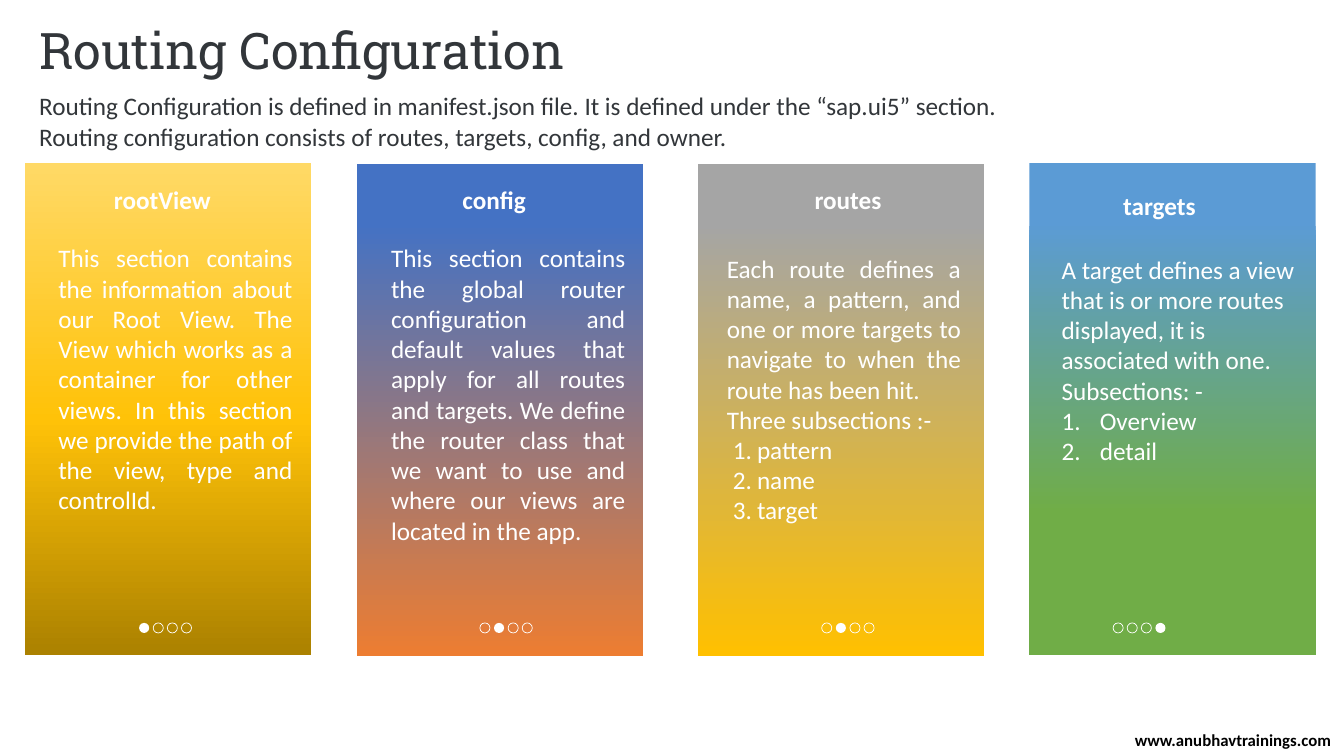
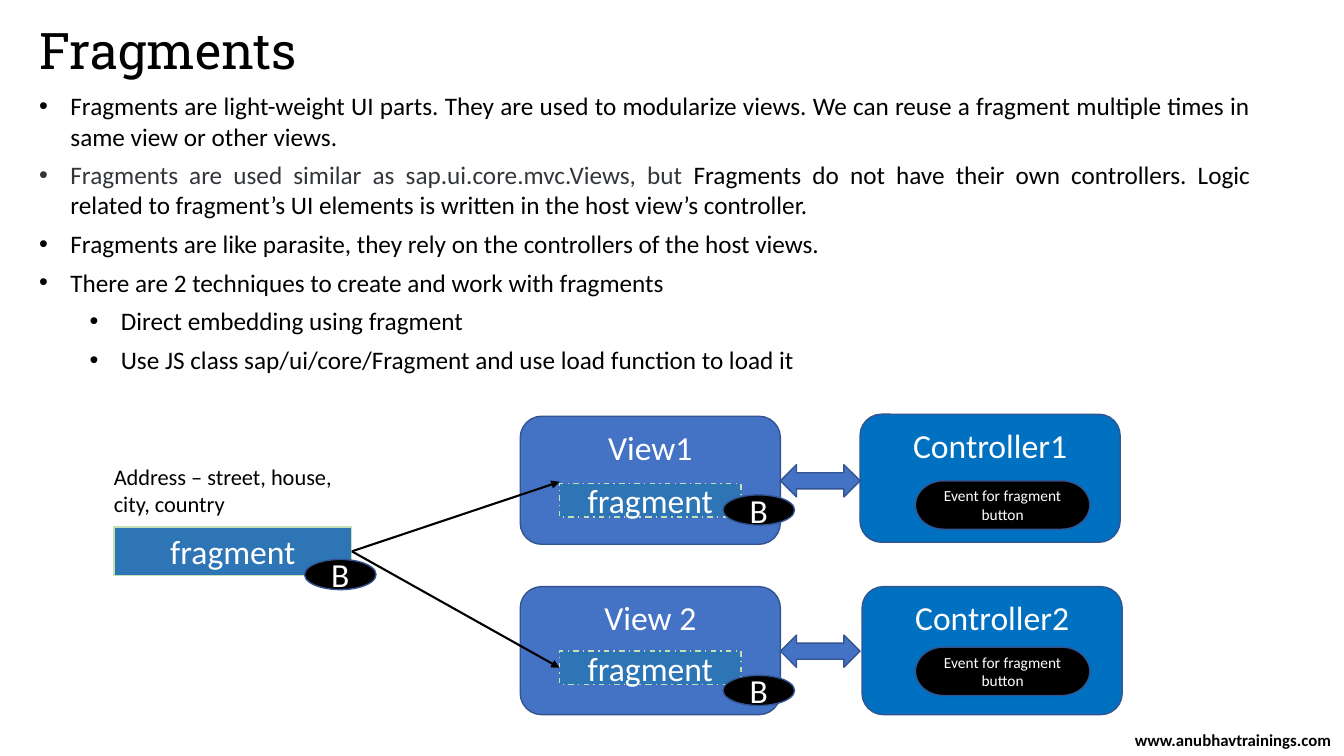
"""Builds two slides on routing configuration and fragments."""
from lxml.etree import SubElement
from pptx import Presentation
from pptx.dml.color import RGBColor
from pptx.enum.dml import MSO_LINE_DASH_STYLE as Dash
from pptx.enum.shapes import MSO_CONNECTOR as Link, MSO_SHAPE as Kind
from pptx.enum.text import MSO_ANCHOR as Anchor, MSO_AUTO_SIZE as Fit, PP_ALIGN as Align
from pptx.oxml.ns import qn
from pptx.util import Inches, Pt

COLORS = {
    "ink": "32363A", "black": "000000", "white": "FFFFFF",
    "blue": "4472C4", "orange": "ED7D31", "gray": "A5A5A5", "amber": "FFC000",
    "sky": "5B9BD5", "green": "70AD47",
    "sand": "FFD966", "gold": "FFC208", "bronze": "AB8100",
    "fragment": "2E75B6", "mint": "C5E0B4", "controller": "0070C0", "edge": "325491",
}


def rgb(name):
    return RGBColor.from_string(COLORS[name])


def add_bullet(paragraph, mark, margin, hang):
    props = paragraph._p.get_or_add_pPr()
    props.set("marL", str(Inches(margin)))
    props.set("indent", str(-Inches(hang)))
    if mark == "1.":
        SubElement(props, qn("a:buFont"), typeface="+mj-lt")
        SubElement(props, qn("a:buAutoNum"), type="arabicPeriod")
    else:
        SubElement(props, qn("a:buFont"), typeface="Arial")
        SubElement(props, qn("a:buChar"), char=mark)


def write(frame, lines, size=18, color="black", font="Calibri", bold=False,
          align=Align.LEFT, anchor=Anchor.TOP, gap=0, spacing=None, inset=0.05):
    frame.word_wrap = True
    frame.auto_size = Fit.NONE
    frame.vertical_anchor = anchor
    frame.margin_top = frame.margin_bottom = Inches(inset)
    for index, line in enumerate([lines] if isinstance(lines, str) else lines):
        item = {"text": line} if isinstance(line, str) else line
        paragraph = frame.add_paragraph() if index else frame.paragraphs[0]
        paragraph.alignment = item.get("align", align)
        paragraph.level = item.get("level", 0)
        if spacing:
            paragraph.line_spacing = spacing
        if index and gap:
            paragraph.space_before = Pt(gap)
        if "bullet" in item:
            add_bullet(paragraph, *item["bullet"])
        parts = item["text"]
        for text, shade in [(parts, color)] if isinstance(parts, str) else parts:
            run = paragraph.add_run()
            run.text = text
            run.font.name = font
            run.font.size = Pt(size)
            run.font.bold = bold
            run.font.color.rgb = rgb(shade)


class Deck:
    """Holds the shared style and the current slide."""

    def __init__(self):
        self.prs = Presentation()
        self.prs.slide_width = Inches(13.33)
        self.prs.slide_height = Inches(7.5)
        self.slide = None

    def new_slide(self, title, color):
        self.slide = self.prs.slides.add_slide(self.prs.slide_layouts[5])
        heading = self.slide.shapes.title
        heading.left, heading.top = Inches(0.29), Inches(0.21)
        heading.width, heading.height = Inches(12.21), Inches(0.65)
        write(heading.text_frame, title, size=36, color=color, font="Roboto Slab", spacing=0.9)
        self.text((11.13, 7.26, 2.2, 0.16), "www.anubhavtrainings.com", size=12, bold=True,
                  align=Align.CENTER, anchor=Anchor.MIDDLE, inset=0)

    def text(self, box, lines, **style):
        area = self.slide.shapes.add_textbox(*map(Inches, box))
        write(area.text_frame, lines, **style)

    def shape(self, kind, box, fill=None, line=None, width=1, text=None, **style):
        shape = self.slide.shapes.add_shape(kind, *map(Inches, box))
        shape.shadow.inherit = False
        if fill:
            shape.fill.solid()
            shape.fill.fore_color.rgb = rgb(fill)
        else:
            shape.fill.background()
        if line:
            shape.line.color.rgb = rgb(line)
            shape.line.width = Pt(width)
        else:
            shape.line.fill.background()
        if text:
            look = {"size": 24, "color": "white", "align": Align.CENTER, "anchor": Anchor.MIDDLE}
            write(shape.text_frame, text, **{**look, **style})
        return shape

    def gradient_panel(self, box, stops):
        panel = self.shape(Kind.RECTANGLE, box)
        panel.fill.gradient()
        panel.fill.gradient_angle = 270
        ramp = panel._element.spPr.find(qn("a:gradFill")).find(qn("a:gsLst"))
        for stop in list(ramp):
            ramp.remove(stop)
        for position, name in stops:
            stop = SubElement(ramp, qn("a:gs"), pos=str(position * 1000))
            SubElement(stop, qn("a:srgbClr"), val=COLORS[name])

    def pager(self, left, active):
        for index in range(4):
            box = (left + 0.14 * index, 6.18, 0.1, 0.1)
            if index == active:
                self.shape(Kind.OVAL, box, fill="white")
            else:
                self.shape(Kind.OVAL, box, line="white", width=0.5)

    def arrow(self, source, end, target=None):
        start = (source.left + source.width, source.top + source.height // 2)
        link = self.slide.shapes.add_connector(Link.STRAIGHT, *start, *map(Inches, end))
        link.begin_connect(source, 3)
        if target is not None:
            link.end_connect(target, 1)
        link.line.color.rgb = rgb("black")
        link.line.width = Pt(1.5)
        SubElement(link.line._get_or_add_ln(), qn("a:tailEnd"), type="triangle")
        SubElement(link._element.spPr, qn("a:effectLst"))

    def badge(self, left, top):
        self.shape(Kind.OVAL, (left, top, 0.71, 0.3), "black", "edge", text="B")


def routing_slide(deck):
    deck.new_slide("Routing Configuration", "ink")
    deck.text((0.29, 0.85, 12.21, 0.71), [
        "Routing Configuration is defined in manifest.json file. "
        "It is defined under the “sap.ui5” section.",
        "Routing configuration consists of routes, targets, config, and owner.",
    ], color="ink")

    justified = Align.JUSTIFY
    route_mark, target_mark = ("1.", 0.3, 0.24), ("1.", 0.38, 0.38)
    sections = [
        dict(name="rootView", panel=(0.25, 1.62), head=(0.35, 1.78), body=(0.48, 2.36),
             stops=[(0, "sand"), (52, "gold"), (100, "bronze")], dots=1.38, active=0,
             lines=[dict(align=justified, text=(
                 "This section contains the information about our Root View. The View which "
                 "works as a container for other views. In this section we provide the path "
                 "of the view, type and controlId."))]),
        dict(name="config", panel=(3.54, 1.63), head=(3.64, 1.78), body=(3.78, 2.36),
             stops=[(12, "blue"), (100, "orange")], dots=4.76, active=1,
             lines=[dict(align=justified, text=(
                 "This section contains the global router configuration and default values "
                 "that apply for all routes and targets. We define the router class that we "
                 "want to use and where our views are located in the app."))]),
        dict(name="routes", panel=(6.92, 1.63), head=(7.15, 1.78), body=(7.11, 2.46),
             stops=[(12, "gray"), (100, "amber")], dots=8.15, active=1,
             lines=[dict(align=justified, text=(
                 "Each route defines a name, a pattern, and one or more targets to navigate "
                 "to when the route has been hit.")),
                 "Three subsections :-",
                 *[dict(text=part, bullet=route_mark) for part in ("pattern", "name", "target")]]),
        dict(name="targets", panel=(10.21, 1.62), head=(10.24, 1.84), body=(10.43, 2.47),
             stops=[(12, "sky"), (71, "green")], dots=11.04, active=3,
             lines=["A target defines a view that is or more routes displayed, "
                    "it is associated with one.",
                    "Subsections: -",
                    *[dict(text=part, bullet=target_mark) for part in ("Overview", "detail")]]),
    ]
    for section in sections:
        deck.gradient_panel((*section["panel"], 2.84, 4.88), section["stops"])
        deck.text((*section["head"], 2.52, 0.4), section["name"], color="white", bold=True,
                  align=Align.CENTER, anchor=Anchor.BOTTOM)
        deck.text((*section["body"], 2.52, 3.13), section["lines"], color="white")
        deck.pager(section["dots"], section["active"])


def fragments_slide(deck):
    deck.new_slide("Fragments", "black")
    points = [
        "Fragments are light-weight UI parts. They are used to modularize views. "
        "We can reuse a fragment multiple times in same view or other views.",
        [("Fragments are used similar as sap.ui.core.mvc.Views, but ", "ink"),
         ("Fragments do not have their own controllers. Logic related to fragment’s UI "
          "elements is written in the host view’s controller.", "black")],
        "Fragments are like parasite, they rely on the controllers of the host views.",
        "There are 2 techniques to create and work with fragments",
    ]
    techniques = [
        "Direct embedding using fragment",
        "Use JS class sap/ui/core/Fragment and use load function to load it",
    ]
    deck.text((0.29, 0.85, 12.21, 2.95), [
        *[dict(text=point, bullet=("•", 0.31, 0.31)) for point in points],
        *[dict(text=way, level=1, bullet=("•", 0.81, 0.31)) for way in techniques],
    ], align=Align.JUSTIFY, gap=6)

    deck.text((1.03, 4.55, 2.51, 0.65), "Address – street, house, city, country", size=16)
    source = deck.shape(Kind.RECTANGLE, (1.13, 5.23, 2.36, 0.48), "fragment", "mint",
                        text="fragment")
    rows = [
        dict(view="View1", view_top=4.13, fragment_top=4.8, badge_top=4.91, arrow_top=4.61,
             controller="Controller1", corner=(8.53, 4.11), event_top=4.77, joined=False),
        dict(view="View 2", view_top=5.82, fragment_top=6.46, badge_top=6.7, arrow_top=6.3,
             controller="Controller2", corner=(8.55, 5.82), event_top=6.42, joined=True),
    ]
    heading = dict(anchor=Anchor.TOP, inset=0.04)
    for row in rows:
        deck.shape(Kind.ROUNDED_RECTANGLE, (5.16, row["view_top"], 2.58, 1.27), "blue", "edge",
                   text=row["view"], **heading)
        embedded = deck.shape(Kind.RECTANGLE, (5.55, row["fragment_top"], 1.8, 0.33),
                              "fragment", "mint", text="fragment")
        embedded.line.dash_style = Dash.DASH_DOT
        deck.arrow(source, (5.55, row["fragment_top"] - 0.02),
                   embedded if row["joined"] else None)
        deck.shape(Kind.ROUNDED_RECTANGLE, (*row["corner"], 2.58, 1.27), "controller", "edge",
                   text=row["controller"], **heading)
        deck.shape(Kind.LEFT_RIGHT_ARROW, (7.74, row["arrow_top"], 0.79, 0.32), "blue", "edge")
        deck.badge(7.17, row["badge_top"])
        deck.shape(Kind.FLOWCHART_TERMINATOR, (9.08, row["event_top"], 1.73, 0.48), "black",
                   "edge", text="Event for fragment button", size=11)
    deck.badge(3.02, 5.55)


def main():
    deck = Deck()
    routing_slide(deck)
    fragments_slide(deck)
    deck.prs.save("out.pptx")


if __name__ == "__main__":
    main()
